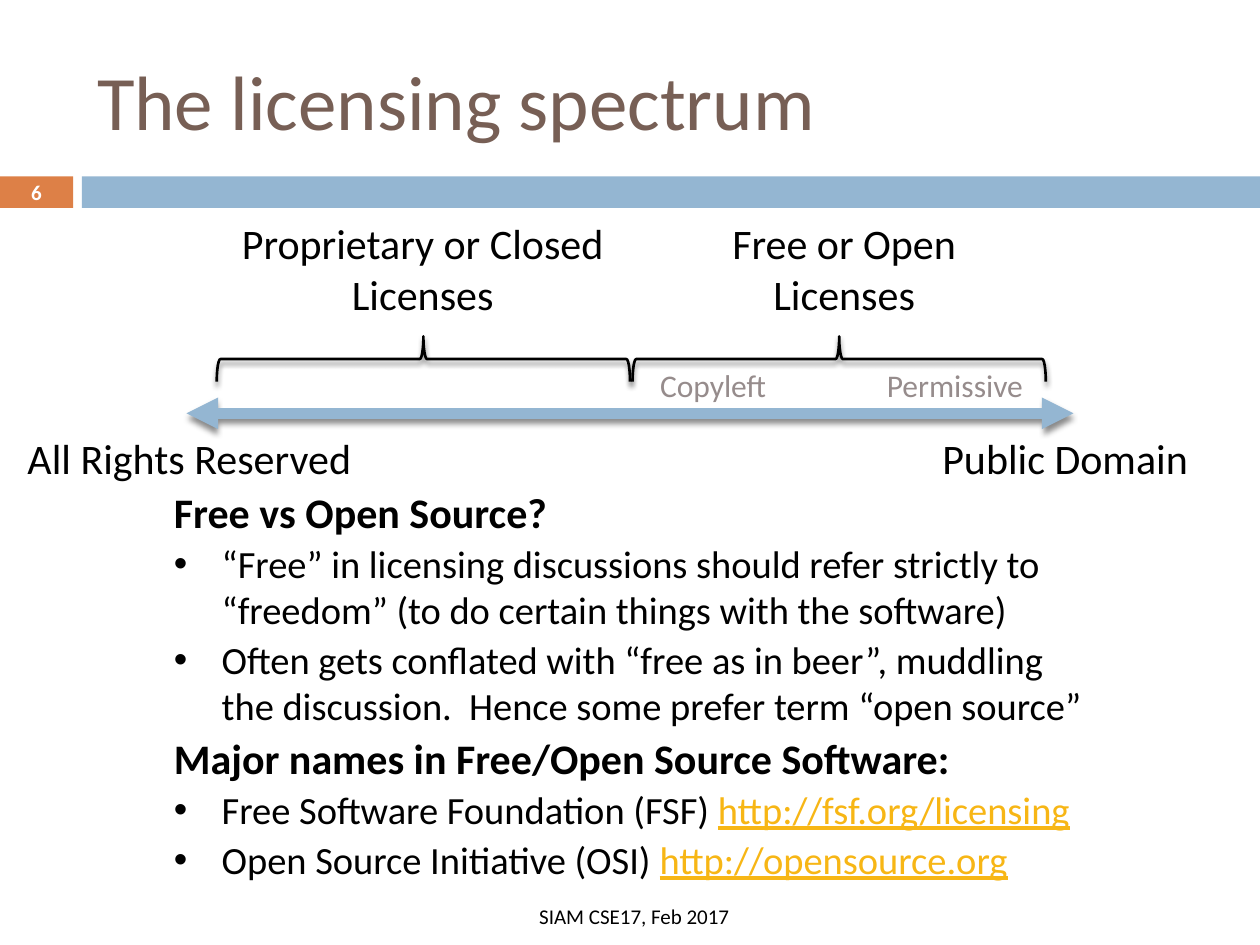
"""Build the licensing spectrum slide."""
from dataclasses import dataclass

from lxml import etree
from pptx import Presentation
from pptx.dml.color import RGBColor
from pptx.enum.shapes import MSO_CONNECTOR, MSO_SHAPE
from pptx.enum.text import MSO_ANCHOR, MSO_AUTO_SIZE, PP_ALIGN
from pptx.oxml.ns import qn
from pptx.util import Inches, Pt

LEFT, CENTER = PP_ALIGN.LEFT, PP_ALIGN.CENTER
TOP, MIDDLE = MSO_ANCHOR.TOP, MSO_ANCHOR.MIDDLE
RECTANGLE, BRACE = MSO_SHAPE.RECTANGLE, MSO_SHAPE.LEFT_BRACE
STRAIGHT = MSO_CONNECTOR.STRAIGHT
NO_AUTOFIT = MSO_AUTO_SIZE.NONE
FONT = "Calibri"
COLORS = {
    "title": "775F55", "text": "000000", "white": "FFFFFF", "muted": "968C8C",
    "blue": "94B6D2", "orange": "DD8047", "link": "F7B615",
}


@dataclass(frozen=True)
class Label:
    text: str
    left: float
    top: float
    width: float
    height: float
    size: float = 24
    color: str = "text"
    align: PP_ALIGN = LEFT
    anchor: MSO_ANCHOR = TOP
    bold: bool = False
    wrap: bool = True


@dataclass(frozen=True)
class Item:
    text: str
    link: str = ""
    heading: bool = False


LABELS = [
    Label("6", 0, 1.39, 0.58, 0.27, size=12, color="white", align=CENTER,
          anchor=MIDDLE, bold=True),
    Label("SIAM CSE17, Feb 2017", 3.37, 7.12, 3.33, 0.24, size=12, align=CENTER),
    Label("All Rights Reserved", 0.12, 3.38, 2.8, 0.5, wrap=False),
    Label("Public Domain", 7.38, 3.38, 2.22, 0.5),
    Label("Proprietary or Closed Licenses", 1.8, 1.68, 3.11, 0.91, align=CENTER),
    Label("Free or Open Licenses", 5.71, 1.68, 1.98, 0.91, align=CENTER),
    Label("Copyleft", 5.14, 2.86, 1.06, 0.4, size=18, color="muted", wrap=False),
    Label("Permissive", 6.94, 2.86, 1.29, 0.4, size=18, color="muted", wrap=False),
]
ITEMS = [
    Item("Free vs Open Source?", heading=True),
    Item("“Free” in licensing discussions should refer strictly to “freedom” "
         "(to do certain things with the software)"),
    Item("Often gets conflated with “free as in beer”, muddling the discussion.  "
         "Hence some prefer term “open source”"),
    Item("Major names in Free/Open Source Software:", heading=True),
    Item("Free Software Foundation (FSF) ", "http://fsf.org/licensing"),
    Item("Open Source Initiative (OSI) ", "http://opensource.org"),
]


def rgb(name: str) -> RGBColor:
    return RGBColor.from_string(COLORS[name])


def place(shape, left: float, top: float, width: float, height: float) -> None:
    shape.left, shape.top = Inches(left), Inches(top)
    shape.width, shape.height = Inches(width), Inches(height)


def add_span(para, text: str, *, size: float, color: str = "text",
             bold: bool = False, underline: bool = False) -> None:
    span = para.add_run()
    span.text = text
    font = span.font
    font.name, font.size = FONT, Pt(size)
    font.bold, font.underline = bold, underline
    font.color.rgb = rgb(color)


def add_label(page, label: Label) -> None:
    box = page.shapes.add_textbox(0, 0, 0, 0)
    place(box, label.left, label.top, label.width, label.height)
    frame = box.text_frame
    frame.word_wrap, frame.vertical_anchor = label.wrap, label.anchor
    para = frame.paragraphs[0]
    para.alignment = label.align
    add_span(para, label.text, size=label.size, color=label.color, bold=label.bold)


def add_bar(page, left: float, width: float, color: str) -> None:
    bar = page.shapes.add_shape(RECTANGLE, Inches(left), Inches(1.4),
                                Inches(width), Inches(0.25))
    bar.shadow.inherit = False
    bar.fill.solid()
    bar.fill.fore_color.rgb = rgb(color)
    bar.line.fill.background()


def add_shadow(properties) -> None:
    effects = etree.SubElement(properties, qn("a:effectLst"))
    shadow = etree.SubElement(effects, qn("a:outerShdw"), blurRad=str(Pt(3)),
                              dist=str(Pt(2.4)), dir="5400000", rotWithShape="0")
    color = etree.SubElement(shadow, qn("a:srgbClr"), val=COLORS["text"])
    etree.SubElement(color, qn("a:alpha"), val="45000")


def add_brace(page, left: float) -> None:
    brace = page.shapes.add_shape(BRACE, Inches(left), Inches(1.21),
                                  Inches(0.36), Inches(3.28))
    brace.rotation = 90
    brace.adjustments[0], brace.adjustments[1] = 0.08, 0.5
    brace.fill.background()
    brace.line.color.rgb = rgb("text")
    brace.line.width = Pt(1.5)
    add_shadow(brace.element.spPr)


def add_spectrum_arrow(page) -> None:
    arrow = page.shapes.add_connector(STRAIGHT, Inches(1.48), Inches(3.28),
                                      Inches(8.52), Inches(3.28))
    arrow.line.color.rgb = rgb("blue")
    arrow.line.width = Pt(6)
    line = arrow.line._get_or_add_ln()
    for end in ("a:headEnd", "a:tailEnd"):
        etree.SubElement(line, qn(end), type="triangle")
    add_shadow(arrow.element.spPr)


def fill_title(title) -> None:
    place(title, 0.67, 0.25, 8.92, 1.08)
    frame = title.text_frame
    frame.auto_size, frame.vertical_anchor = NO_AUTOFIT, MIDDLE
    para = frame.paragraphs[0]
    para.alignment = LEFT
    add_span(para, "The licensing spectrum", size=44, color="title")


def fill_body(body) -> None:
    place(body, 1.28, 3.81, 7.44, 3.27)
    frame = body.text_frame
    frame.auto_size, frame.vertical_anchor = NO_AUTOFIT, TOP
    for index, item in enumerate(ITEMS):
        para = frame.add_paragraph() if index else frame.paragraphs[0]
        para.space_before = Pt(2 if index else 0)
        properties = para._p.get_or_add_pPr()
        indent = Inches(0 if item.heading else 0.38)
        properties.set("marL", str(indent))
        properties.set("indent", str(-indent))
        if item.heading:
            etree.SubElement(properties, qn("a:buNone"))
        else:
            etree.SubElement(properties, qn("a:buFont"), typeface="Arial")
            etree.SubElement(properties, qn("a:buChar"), char="•")
        size = 24 if item.heading else 22
        add_span(para, item.text, size=size, bold=item.heading)
        if item.link:
            add_span(para, item.link, size=size, color="link", underline=True)


def main() -> None:
    deck = Presentation()
    deck.slide_width, deck.slide_height = Inches(10), Inches(7.5)
    page = deck.slides.add_slide(deck.slide_layouts[1])
    fill_title(page.shapes.title)
    fill_body(page.placeholders[1])
    add_bar(page, 0, 0.58, "orange")
    add_bar(page, 0.65, 9.35, "blue")
    add_spectrum_arrow(page)
    for left in (3.18, 6.48):
        add_brace(page, left)
    for label in LABELS:
        add_label(page, label)
    deck.save("out.pptx")


if __name__ == "__main__":
    main()
